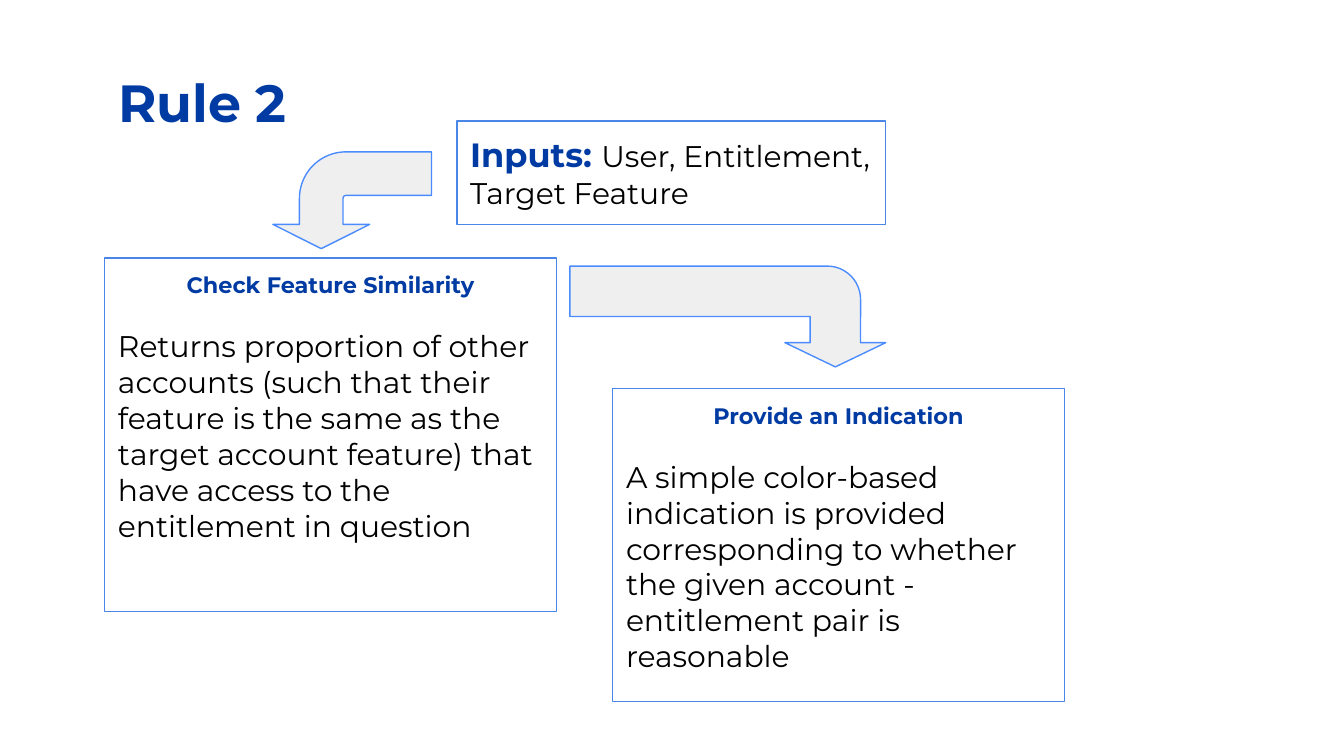
from pptx import Presentation
from pptx import util as u
from pptx.dml import color as c
from pptx.enum import shapes, text

BLUE = "003BA3"
BLACK = "000000"
HEADING = {"size": u.Pt(12), "bold": True, "color": BLUE}
BODY = {"size": u.Pt(16), "bold": False, "color": BLACK}
SPACED = {"space_before": u.Pt(16), "space_after": u.Pt(16)}


def color(hex_value):
    return c.RGBColor.from_string(hex_value)


def apply(target, values):
    for name, value in values.items():
        setattr(target, name, value)


def place(bounds):
    return [u.Inches(value) for value in bounds]


def format_frame(frame, auto_size=text.MSO_AUTO_SIZE.NONE):
    margins = {f"margin_{side}": u.Inches(0.1) for side in ("left", "top", "right", "bottom")}
    apply(frame, {
        **margins,
        "word_wrap": True,
        "vertical_anchor": text.MSO_ANCHOR.TOP,
        "auto_size": auto_size,
    })


def write_para(para, spans, alignment=text.PP_ALIGN.LEFT, spacing=None):
    apply(para, {"alignment": alignment, **(spacing or {})})
    for wording, style in spans:
        span = para.add_run()
        span.text = wording
        font = {name: value for name, value in style.items() if name != "color"}
        apply(span.font, {"name": "Montserrat", **font})
        span.font.color.rgb = color(style["color"])


def add_title(page, wording):
    title = page.shapes.title
    apply(title, dict(zip(("left", "top", "width", "height"), place((0.78, 0.42, 8.44, 0.63)))))
    format_frame(title.text_frame)
    style = {"size": u.Pt(28), "bold": True, "color": BLUE}
    write_para(title.text_frame.paragraphs[0], [(wording, style)])


def add_outlined(page, kind, bounds, line_color):
    shape = page.shapes.add_shape(kind, *place(bounds))
    shape.shadow.inherit = False
    shape.line.color.rgb = color(line_color)
    shape.line.width = u.Pt(0.75)
    return shape


def add_box(page, bounds, auto_size=text.MSO_AUTO_SIZE.NONE):
    box = add_outlined(page, shapes.MSO_SHAPE.RECTANGLE, bounds, "4A86E8")
    box.fill.background()
    format_frame(box.text_frame, auto_size)
    return box


def add_inputs(page, bounds):
    box = add_box(page, bounds, text.MSO_AUTO_SIZE.SHAPE_TO_FIT_TEXT)
    label = {"size": u.Pt(18), "bold": True, "color": BLUE}
    spans = [("Inputs: ", label), ("User, Entitlement, Target Feature", BODY)]
    write_para(box.text_frame.paragraphs[0], spans, spacing={"space_after": u.Pt(16)})


def add_step(page, bounds, heading, body):
    frame = add_box(page, bounds).text_frame
    write_para(frame.paragraphs[0], [(heading, HEADING)], text.PP_ALIGN.CENTER)
    write_para(frame.add_paragraph(), [(body, BODY)], spacing=SPACED)


def add_bent_arrow(page, bounds, rotation, adjustments, flipped=False):
    arrow = add_outlined(page, shapes.MSO_SHAPE.BENT_ARROW, bounds, "4A8CFF")
    arrow.fill.solid()
    arrow.fill.fore_color.rgb = color("EFEFEF")
    arrow.rotation = rotation
    for index, value in enumerate(adjustments):
        arrow.adjustments[index] = value
    if flipped:
        arrow.element.spPr.xfrm.set("flipH", "1")


def main():
    deck = Presentation()
    width = u.Inches(10)
    apply(deck, {"slide_width": width, "slide_height": width * 9 // 16})
    page = deck.slides.add_slide(deck.slide_layouts[5])
    add_title(page, "Rule 2")
    add_inputs(page, (3.4, 0.9, 3.19, 0.77))
    add_step(
        page, (0.78, 1.92, 3.36, 2.63), "Check Feature Similarity",
        "Returns proportion of other accounts (such that their feature is the same as "
        "the target account feature) that have access to the entitlement in question",
    )
    add_bent_arrow(page, (2.26, 0.9, 0.72, 1.18), 270, (0.45, 0.5, 0.25, 0.48), flipped=True)
    add_bent_arrow(page, (5.04, 1.18, 0.75, 2.35), 90, (0.5, 0.5, 0.24, 0.33))
    add_step(
        page, (4.56, 2.89, 3.36, 2.33), "Provide an Indication",
        "A simple color-based indication is provided corresponding to whether "
        "the given account - entitlement pair is reasonable",
    )
    deck.save("out.pptx")


if __name__ == "__main__":
    main()
